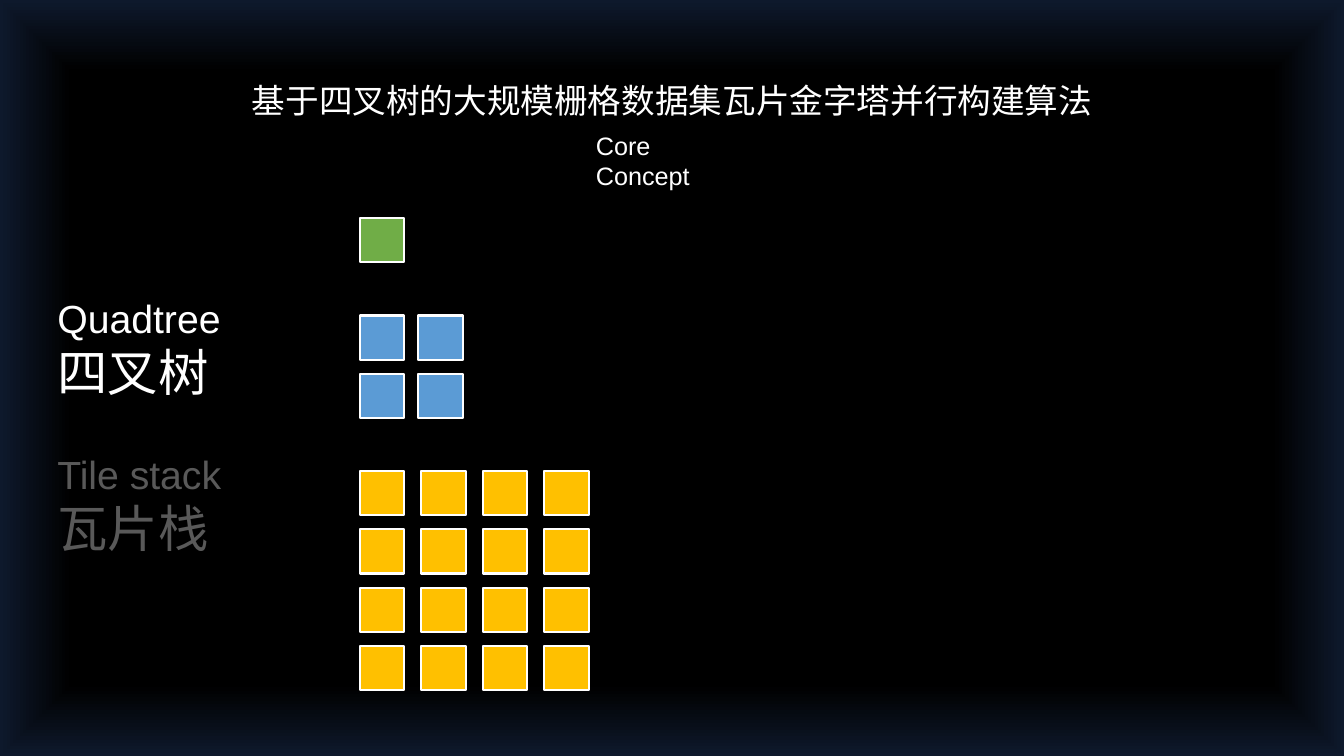
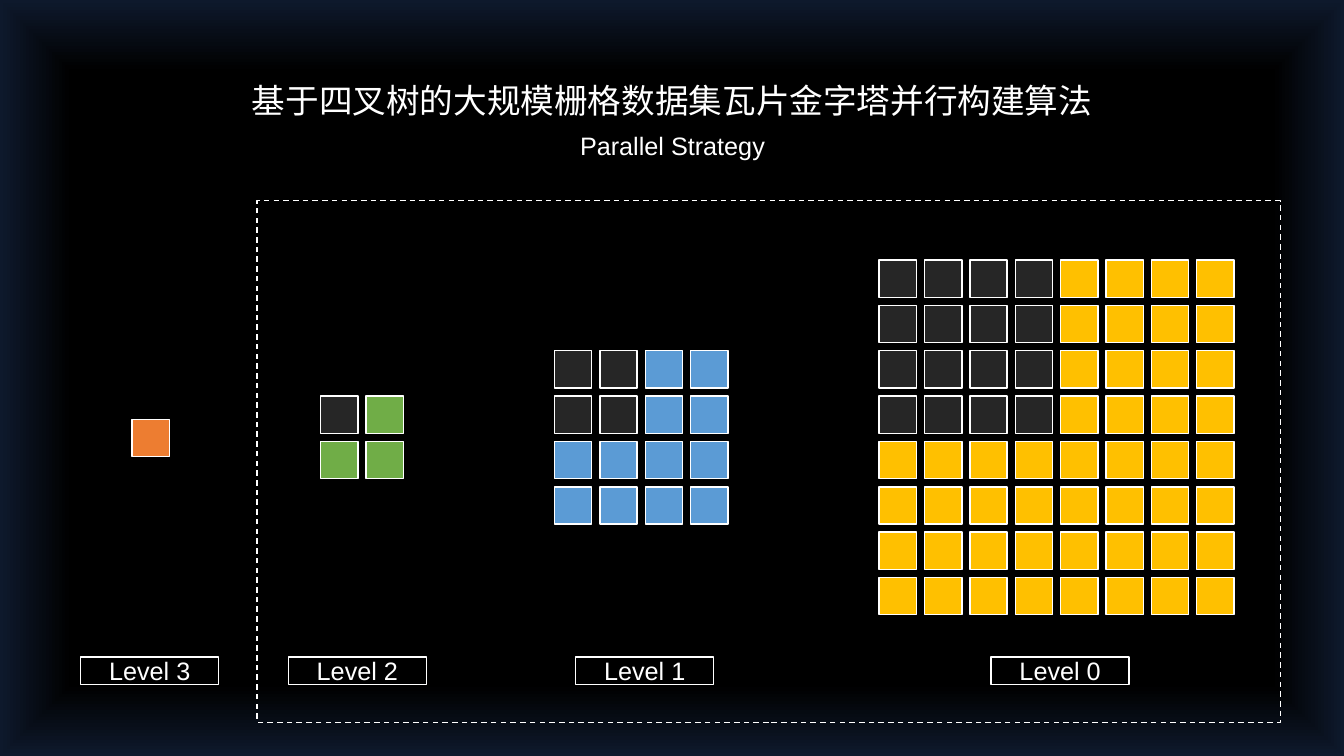
import dataclasses

import lxml.etree
import pptx
import pptx.dml.color
import pptx.enum.dml
import pptx.enum.shapes
import pptx.enum.text
import pptx.oxml
import pptx.oxml.ns
import pptx.util

EMU_PER_PX = 9144
TITLE = "基于四叉树的大规模栅格数据集瓦片金字塔并行构建算法"
ALIGN = pptx.enum.text.PP_ALIGN
ANCHOR = pptx.enum.text.MSO_ANCHOR


@dataclasses.dataclass(frozen=True)
class Theme:
    white: str = "FFFFFF"
    muted: str = "595959"
    done: str = "262626"
    orange: str = "ED7D31"
    green: str = "70AD47"
    blue: str = "5B9BD5"
    yellow: str = "FFC000"
    glow: tuple = ((0, "000000"), (61, "000000"), (81, "000000"), (100, "0E192C"))
    latin: str = "Arial"
    cjk: str = "Noto Sans CJK SC"
    title_size: int = 24
    label_size: int = 18
    term_size: int = 28
    term_cjk_size: int = 36


THEME = Theme()


def px(length):
    return pptx.util.Emu(length * EMU_PER_PX)


def rgb(color):
    return pptx.dml.color.RGBColor.from_string(color)


def paint_background(master):
    master.background.fill.gradient()
    gradient = next(master.element.iter(pptx.oxml.ns.qn("a:gradFill")))
    stops = "".join(
        f'<a:gs pos="{position * 1000}"><a:srgbClr val="{color}"/></a:gs>'
        for position, color in THEME.glow
    )
    glow = pptx.oxml.parse_xml(
        f'<a:gradFill {pptx.oxml.ns.nsdecls("a")} rotWithShape="1">'
        f"<a:gsLst>{stops}</a:gsLst>"
        '<a:path path="shape"><a:fillToRect l="50000" t="50000" r="50000" b="50000"/></a:path>'
        "</a:gradFill>"
    )
    gradient.getparent().replace(gradient, glow)


def write(frame, text, size, color=THEME.white, font=THEME.latin,
          align=ALIGN.LEFT, anchor=ANCHOR.TOP):
    frame.word_wrap = True
    frame.vertical_anchor = anchor
    frame.text = text
    paragraph = frame.paragraphs[0]
    paragraph.alignment = align
    paragraph.space_before = pptx.util.Pt(0)
    paragraph.font.size = pptx.util.Pt(size)
    paragraph.font.color.rgb = rgb(color)
    paragraph.font.name = font
    defaults = paragraph._p.get_or_add_pPr().find(pptx.oxml.ns.qn("a:defRPr"))
    lxml.etree.SubElement(defaults, pptx.oxml.ns.qn("a:ea"), typeface=THEME.cjk)


def place(box, left, top, width, height):
    box.left, box.top, box.width, box.height = map(px, (left, top, width, height))
    box.text_frame.auto_size = pptx.enum.text.MSO_AUTO_SIZE.SHAPE_TO_FIT_TEXT


def add_titled_slide(prs, topic, left, width, align):
    slide = prs.slides.add_slide(prs.slide_layouts[0])
    title, subtitle = slide.placeholders
    place(title, 238, 74, 857, 50)
    write(title.text_frame, TITLE, THEME.title_size, font=THEME.cjk, align=ALIGN.CENTER)
    place(subtitle, left, 124, width, 40)
    write(subtitle.text_frame, topic, THEME.label_size, align=align)
    return slide


def add_box(slide, left, top, width, height, fill=None, line=1):
    box = slide.shapes.add_shape(
        pptx.enum.shapes.MSO_SHAPE.RECTANGLE, px(left), px(top), px(width), px(height)
    )
    box.shadow.inherit = False
    if fill:
        box.fill.solid()
        box.fill.fore_color.rgb = rgb(fill)
    else:
        box.fill.background()
    box.line.color.rgb = rgb(THEME.white)
    box.line.width = pptx.util.Pt(line)
    return box


def add_tiles(slide, left, top, count, tile, pitch_x, pitch_y, color, line=1, done=0):
    for row in range(count):
        for column in range(count):
            fill = THEME.done if max(row, column) < done else color
            add_box(slide, left + column * pitch_x, top + row * pitch_y,
                    tile, tile, fill, line)


def add_term(slide, top, english, chinese, color):
    for text, offset, width, height, size in (
        (english, 0, 192, 57, THEME.term_size),
        (chinese, 46, 176, 71, THEME.term_cjk_size),
    ):
        box = slide.shapes.add_textbox(0, 0, 0, 0)
        place(box, 47, top + offset, width, height)
        write(box.text_frame, text, size, color)


def add_level(slide, level, tiles_left, label_left, color):
    tile, pitch, middle = 37, 45, 434
    count = 2 ** (3 - level)
    top = middle - ((count - 1) * pitch + tile) // 2
    add_tiles(slide, tiles_left, top, count, tile, pitch, pitch, color, done=count // 2)
    label = add_box(slide, label_left, 652, 137, 27)
    write(label.text_frame, f"Level {level}", THEME.label_size,
          align=ALIGN.CENTER, anchor=ANCHOR.MIDDLE)


def build_concept(prs):
    slide = add_titled_slide(prs, "Core Concept", 581, 172, ALIGN.LEFT)
    add_term(slide, 287, "Quadtree", "四叉树", THEME.white)
    add_term(slide, 442, "Tile stack", "瓦片栈", THEME.muted)
    for top, count, pitch_x, color in (
        (216, 1, 58, THEME.green),
        (313, 2, 58, THEME.blue),
        (467, 4, 61, THEME.yellow),
    ):
        add_tiles(slide, 357, top, count, 44, pitch_x, 58, color, line=1.5)


def build_strategy(prs):
    slide = add_titled_slide(prs, "Parallel Strategy", 557, 220, ALIGN.CENTER)
    for level, tiles_left, label_left, color in (
        (3, 131, 80, THEME.orange),
        (2, 318, 286, THEME.green),
        (1, 550, 571, THEME.blue),
        (0, 872, 983, THEME.yellow),
    ):
        add_level(slide, level, tiles_left, label_left, color)
    parallel_zone = add_box(slide, 255, 199, 1015, 518)
    parallel_zone.line.dash_style = pptx.enum.dml.MSO_LINE.DASH


def main():
    prs = pptx.Presentation()
    prs.slide_width = pptx.util.Inches(13.33)
    prs.slide_height = pptx.util.Inches(7.5)
    paint_background(prs.slide_master)
    build_concept(prs)
    build_strategy(prs)
    prs.save("out.pptx")


if __name__ == "__main__":
    main()
